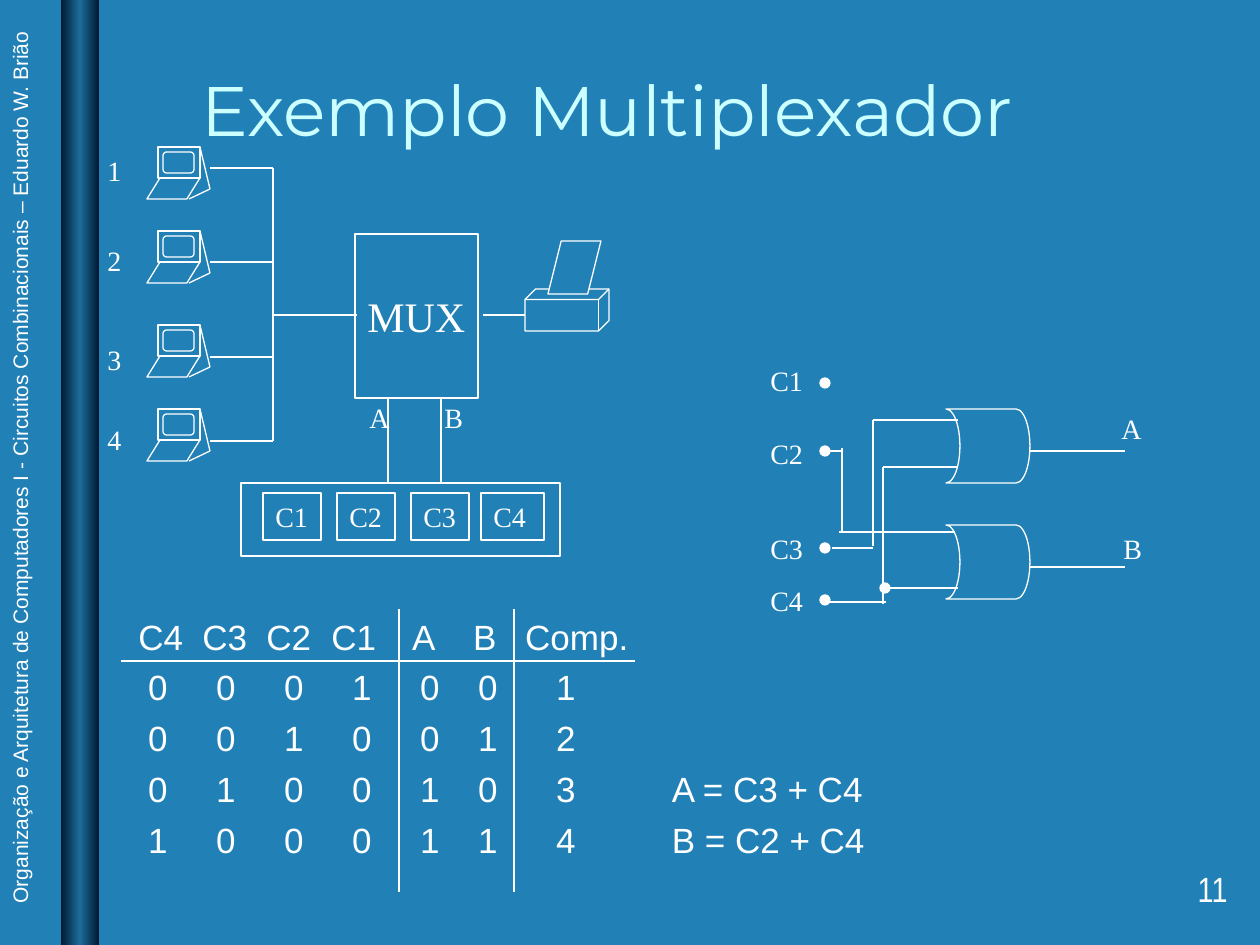
from copy import deepcopy
from lxml import etree
from pptx import Presentation, util as u
from pptx.dml.color import RGBColor
from pptx.enum import shapes, text
from pptx.oxml.ns import qn

PX = 914400 / 126
COLORS = {"back": "2181B7", "white": "FFFFFF", "title": "CCFFFF",
          "edge": "001932", "middle": "1C6D9A"}
KIND = shapes.MSO_SHAPE
SERIF = "Times New Roman"
RGB = {name: RGBColor.from_string(code) for name, code in COLORS.items()}


def outline(kind, x, y, w, h, fill=None):
    shape = page.shapes.add_shape(kind, *[round(n * PX) for n in (x, y, w, h)])
    shape.shadow.inherit = False
    shape.line.color.rgb = RGB["white"]
    shape.line.width = u.Pt(0.75)
    if fill:
        shape.fill.solid()
        shape.fill.fore_color.rgb = RGB[fill]
    else:
        shape.fill.background()
    return shape


def write(box, words, size=16, font=SERIF, color="white", wrap=False):
    frame = box.text_frame
    frame.text = words
    frame.word_wrap = wrap
    frame.auto_size = text.MSO_AUTO_SIZE.NONE
    for para in frame.paragraphs:
        para.alignment = text.PP_ALIGN.LEFT
        for span in para.runs:
            span.font.size = u.Pt(size)
            span.font.name = font
            span.font.color.rgb = RGB[color]
    return frame


deck = Presentation()
deck.slide_width, deck.slide_height = u.Inches(10), u.Inches(7.5)
page = deck.slides.add_slide(deck.slide_layouts[5])
page.background.fill.solid()
page.background.fill.fore_color.rgb = RGB["back"]

# Gradient bar on the left
bar = outline(KIND.RECTANGLE, 61, 0, 38, 945)
bar.line.fill.background()
bar.fill.gradient()
bar.fill.gradient_angle = 0
stop_list = bar._element.xpath(".//a:gsLst")[0]
stop_list.insert(1, deepcopy(stop_list[0]))
for stop, place, name in zip(bar.fill.gradient_stops, (0, 0.5, 1), ("edge", "middle", "edge")):
    stop.position = place
    stop.color.rgb = RGB[name]

# Title
title = page.shapes.title
title.left, title.top, title.width, title.height = [round(n * PX) for n in (189, 0, 1071, 157)]
write(title, "Exemplo Multiplexador", 40, "Montserrat", "title", True)
title.text_frame.vertical_anchor = text.MSO_ANCHOR.BOTTOM

# Truth table and equations, set on tab stops
rows = [
    ("C4", "C3", "C2", "C1", "A", "B", "Comp."),
    ("0", "0", "0", "1", "0", "0", "1"),
    ("0", "0", "1", "0", "0", "1", "2"),
    ("0", "1", "0", "0", "1", "0", "3", "A = C3 + C4"),
    ("1", "0", "0", "0", "1", "1", "4", "B = C2 + C4"),
]
header_stops = (160, 225, 289, 354, 424, 485, 577)
value_stops = (158, 226, 294, 362, 430, 488, 566, 672)
table_box = page.shapes.add_textbox(*[round(n * PX) for n in (126, 609, 1071, 294)])
table = write(table_box, "\n".join("\t" + "\t".join(row) for row in rows), 20, "Arial", wrap=True)
for number, para in enumerate(table.paragraphs):
    para.space_before = u.Pt(5)
    tabs = etree.SubElement(para._p.get_or_add_pPr(), qn("a:tabLst"))
    for column, x in enumerate(value_stops if number else header_stops):
        etree.SubElement(tabs, qn("a:tab"), pos=str(round((x - 138.6) * PX)),
                         algn="ctr" if column < 7 else "l")

# Computers: screen, keyboard and side edges
wires = []
for top in (147, 231, 325, 409):
    outline(KIND.PARALLELOGRAM, 147, top + 31, 53, 21).adjustments[0] = 0.62
    outline(KIND.RECTANGLE, 158, top, 42, 31)
    outline(KIND.ROUNDED_RECTANGLE, 163, top + 5, 31, 21)
    wires += [(189, top + 52, 210, top + 42), (200, top, 210, top + 42)]

# Printer
outline(KIND.CUBE, 525, 289, 84, 42)
outline(KIND.PARALLELOGRAM, 548, 241, 53, 53, "back")

# Multiplexer and control panel
mux = outline(KIND.RECTANGLE, 355, 234, 123, 164)
write(mux, "MUX", 24)
mux.text_frame.vertical_anchor = text.MSO_ANCHOR.MIDDLE
outline(KIND.RECTANGLE, 241, 483, 319, 73)
for label, x, width in (("C1", 263, 58), ("C2", 337, 58), ("C3", 411, 58), ("C4", 481, 63)):
    write(outline(KIND.RECTANGLE, x, 493, width, 47), label)

# Logic gates and junction dots
for top in (409, 525):
    gate = outline(KIND.FLOWCHART_STORED_DATA, 946, top, 84, 74)
    gate._element.xpath("./p:spPr/a:xfrm")[0].set("flipH", "1")
for x, y in ((820, 378), (820, 446), (820, 543), (820, 595), (880, 583)):
    outline(KIND.OVAL, x, y, 10, 10, "white")

# Wires and table rules
wires += [(210, y, 273, y) for y in (168, 262, 357, 441)]
wires += [
    (273, 168, 273, 441), (273, 315, 357, 315), (483, 315, 525, 315),
    (388, 399, 388, 483), (441, 399, 441, 483),
    (820, 451, 842, 451), (842, 448, 842, 532), (839, 532, 955, 532),
    (832, 548, 873, 548), (873, 546, 873, 420), (873, 420, 958, 420),
    (823, 602, 886, 602), (883, 467, 883, 604), (883, 467, 958, 467),
    (883, 588, 958, 588), (1030, 451, 1125, 451), (1030, 567, 1125, 567),
    (121, 661, 635, 661), (399, 609, 399, 892), (514, 609, 514, 892),
]
for ends in wires:
    wire = page.shapes.add_connector(shapes.MSO_CONNECTOR.STRAIGHT, *[round(n * PX) for n in ends])
    wire.line.color.rgb = RGB["white"]
    wire.line.width = u.Pt(0.75)
    etree.SubElement(wire._element.spPr, qn("a:effectLst"))

# Labels
labels = [
    ("1", 95, 147, 39), ("2", 95, 237, 39), ("3", 95, 336, 39), ("4", 95, 416, 39),
    ("A", 357, 394, 46), ("B", 432, 394, 44),
    ("C1", 758, 357, 58), ("C2", 758, 430, 58), ("C3", 758, 525, 58), ("C4", 758, 577, 58),
    ("A", 1109, 405, 46), ("B", 1111, 525, 44),
]
for label, x, y, width in labels:
    write(page.shapes.add_textbox(*[round(n * PX) for n in (x, y, width, 46)]), label)

# Course name along the left edge, and page number
course = page.shapes.add_textbox(*[round(n * PX) for n in (-430, 447, 900, 38)])
course.rotation = 270
write(course, "Organização e Arquitetura de Computadores I - Circuitos Combinacionais"
              " – Eduardo W. Brião", 12, "Arial")
number_box = page.shapes.add_textbox(*[round(n * PX) for n in (978, 861, 262, 63)])
number_frame = write(number_box, "11", 20, "Arial Narrow", wrap=True)
number_frame.paragraphs[0].alignment = text.PP_ALIGN.RIGHT

deck.save("out.pptx")
